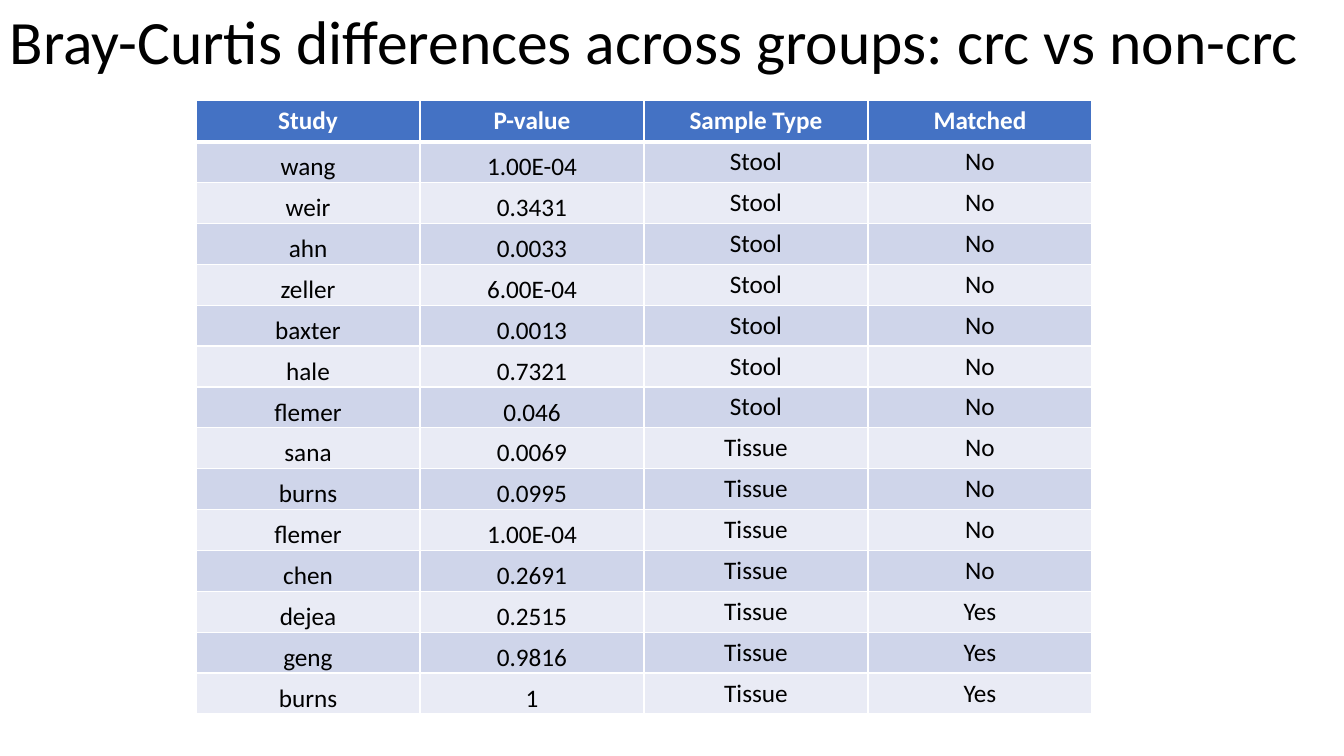
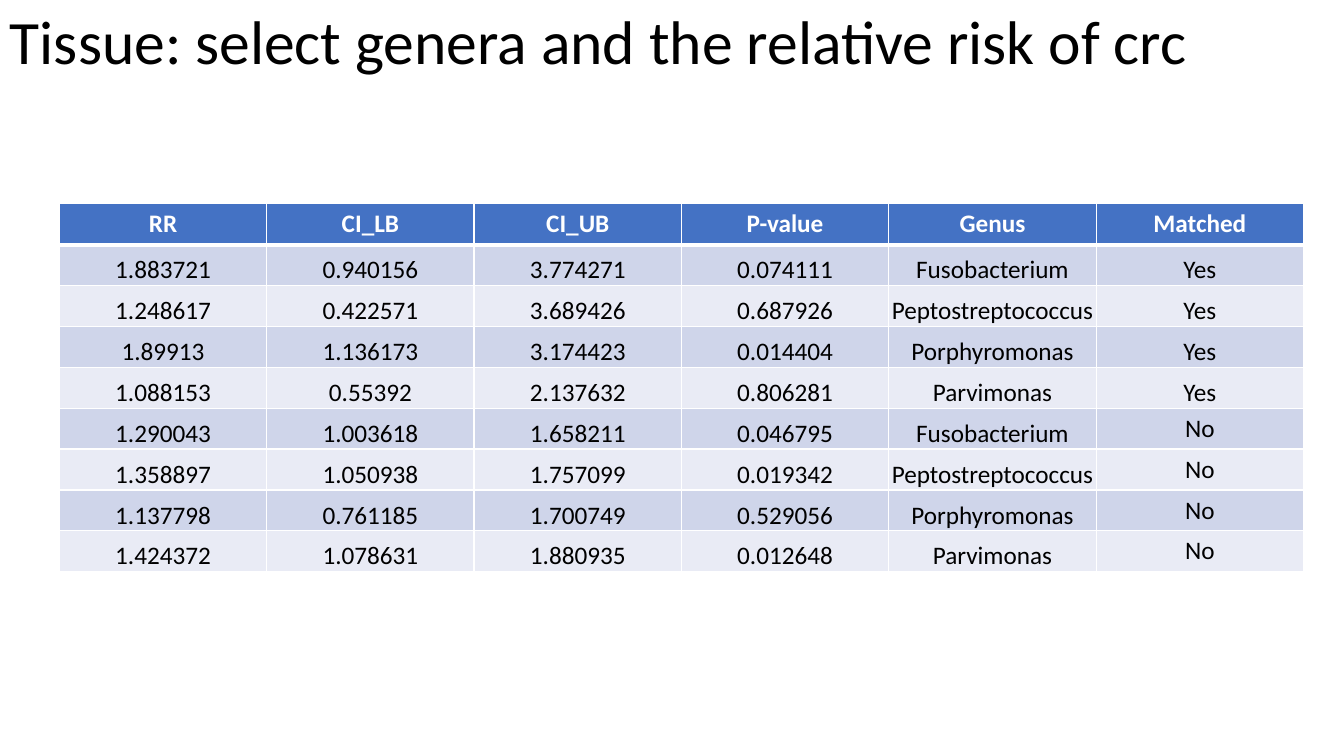
"""Build two slides of microbiome study results, each a title above a banded table."""
from lxml import etree
from pptx import Presentation
from pptx.dml.color import RGBColor
from pptx.enum.text import MSO_ANCHOR, PP_ALIGN
from pptx.oxml.ns import qn
from pptx.util import Inches, Pt

MIDDLE, TOP, BOTTOM = MSO_ANCHOR.MIDDLE, MSO_ANCHOR.TOP, MSO_ANCHOR.BOTTOM
LEFT, CENTER = PP_ALIGN.LEFT, PP_ALIGN.CENTER

COLORS = {
    "ink": "000000",
    "white": "FFFFFF",
    "header": "4472C4",
    "odd": "CFD5EA",
    "even": "E9EBF5",
}
FORMATS = {
    "title": {"name": "Calibri", "size": Pt(44), "bold": False},
    "header": {"name": "Calibri", "size": Pt(18), "bold": True},
    "body": {"name": "Calibri", "size": Pt(18), "bold": False},
}
SNUG = {
    "vertical_anchor": BOTTOM,
    "margin_left": Inches(0.01),
    "margin_right": Inches(0.01),
    "margin_top": Inches(0.01),
    "margin_bottom": 0,
}
SLIDE_WIDTH, SLIDE_HEIGHT = Inches(13.333), Inches(7.5)
UNIT = SLIDE_WIDTH / 240
TITLE_HEIGHT = round(16 * UNIT)
ROW_HEIGHT = round(7.3 * UNIT)

SLIDES = [
    {
        "title": "Bray-Curtis differences across groups: crc vs non-crc",
        "left": 35, "top": 18, "column": 40, "snug_columns": 2,
        "rows": [
            ("Study", "P-value", "Sample Type", "Matched"),
            ("wang", "1.00E-04", "Stool", "No"),
            ("weir", "0.3431", "Stool", "No"),
            ("ahn", "0.0033", "Stool", "No"),
            ("zeller", "6.00E-04", "Stool", "No"),
            ("baxter", "0.0013", "Stool", "No"),
            ("hale", "0.7321", "Stool", "No"),
            ("flemer", "0.046", "Stool", "No"),
            ("sana", "0.0069", "Tissue", "No"),
            ("burns", "0.0995", "Tissue", "No"),
            ("flemer", "1.00E-04", "Tissue", "No"),
            ("chen", "0.2691", "Tissue", "No"),
            ("dejea", "0.2515", "Tissue", "Yes"),
            ("geng", "0.9816", "Tissue", "Yes"),
            ("burns", "1", "Tissue", "Yes"),
        ],
    },
    {
        "title": "Tissue: select genera and the relative risk of crc",
        "left": 10.6, "top": 36.4, "column": 37.03, "snug_columns": 6,
        "rows": [
            ("RR", "CI_LB", "CI_UB", "P-value", "Genus", "Matched"),
            ("1.883721", "0.940156", "3.774271", "0.074111", "Fusobacterium", "Yes"),
            ("1.248617", "0.422571", "3.689426", "0.687926", "Peptostreptococcus", "Yes"),
            ("1.89913", "1.136173", "3.174423", "0.014404", "Porphyromonas", "Yes"),
            ("1.088153", "0.55392", "2.137632", "0.806281", "Parvimonas", "Yes"),
            ("1.290043", "1.003618", "1.658211", "0.046795", "Fusobacterium", "No"),
            ("1.358897", "1.050938", "1.757099", "0.019342", "Peptostreptococcus", "No"),
            ("1.137798", "0.761185", "1.700749", "0.529056", "Porphyromonas", "No"),
            ("1.424372", "1.078631", "1.880935", "0.012648", "Parvimonas", "No"),
        ],
    },
]


def write_text(frame, text, style, color, align):
    """Put one formatted line of text into a frame and return its paragraph."""
    para = frame.paragraphs[0]
    para.alignment = align
    span = para.add_run()
    span.text = text
    for name, value in FORMATS[style].items():
        setattr(span.font, name, value)
    span.font.color.rgb = RGBColor.from_string(COLORS[color])
    return para


def add_borders(cell, row_number):
    """Give a cell white borders, with a heavy rule under the header row."""
    weights = {"L": 1, "R": 1, "T": 3 if row_number == 1 else 1, "B": 3 if row_number == 0 else 1}
    properties = cell._tc.get_or_add_tcPr()
    for side, weight in weights.items():
        line = etree.SubElement(properties, qn(f"a:ln{side}"), w=str(Pt(weight)))
        fill = etree.SubElement(line, qn("a:solidFill"))
        etree.SubElement(fill, qn("a:srgbClr"), val=COLORS["white"])


deck = Presentation()
deck.slide_width, deck.slide_height = SLIDE_WIDTH, SLIDE_HEIGHT

for content in SLIDES:
    page = deck.slides.add_slide(deck.slide_layouts[6])

    box = page.shapes.add_textbox(0, 0, SLIDE_WIDTH, TITLE_HEIGHT)
    box.text_frame.word_wrap = True
    box.text_frame.vertical_anchor = MIDDLE
    title = write_text(box.text_frame, content["title"], "title", "ink", LEFT)
    title.line_spacing = 0.9

    rows = content["rows"]
    column_count = len(rows[0])
    table = page.shapes.add_table(
        len(rows), column_count,
        round(content["left"] * UNIT), round(content["top"] * UNIT),
        round(column_count * content["column"] * UNIT), len(rows) * ROW_HEIGHT,
    ).table

    for row_number, values in enumerate(rows):
        table.rows[row_number].height = ROW_HEIGHT
        is_header = row_number == 0
        band = "header" if is_header else "odd" if row_number % 2 else "even"
        for column_number, value in enumerate(values):
            cell = table.cell(row_number, column_number)
            add_borders(cell, row_number)
            cell.fill.solid()
            cell.fill.fore_color.rgb = RGBColor.from_string(COLORS[band])
            cell.vertical_anchor = TOP
            if not is_header and column_number < content["snug_columns"] and value != "No":
                for name, setting in SNUG.items():
                    setattr(cell, name, setting)
            style, color = ("header", "white") if is_header else ("body", "ink")
            write_text(cell.text_frame, value, style, color, CENTER)

deck.save("out.pptx")
